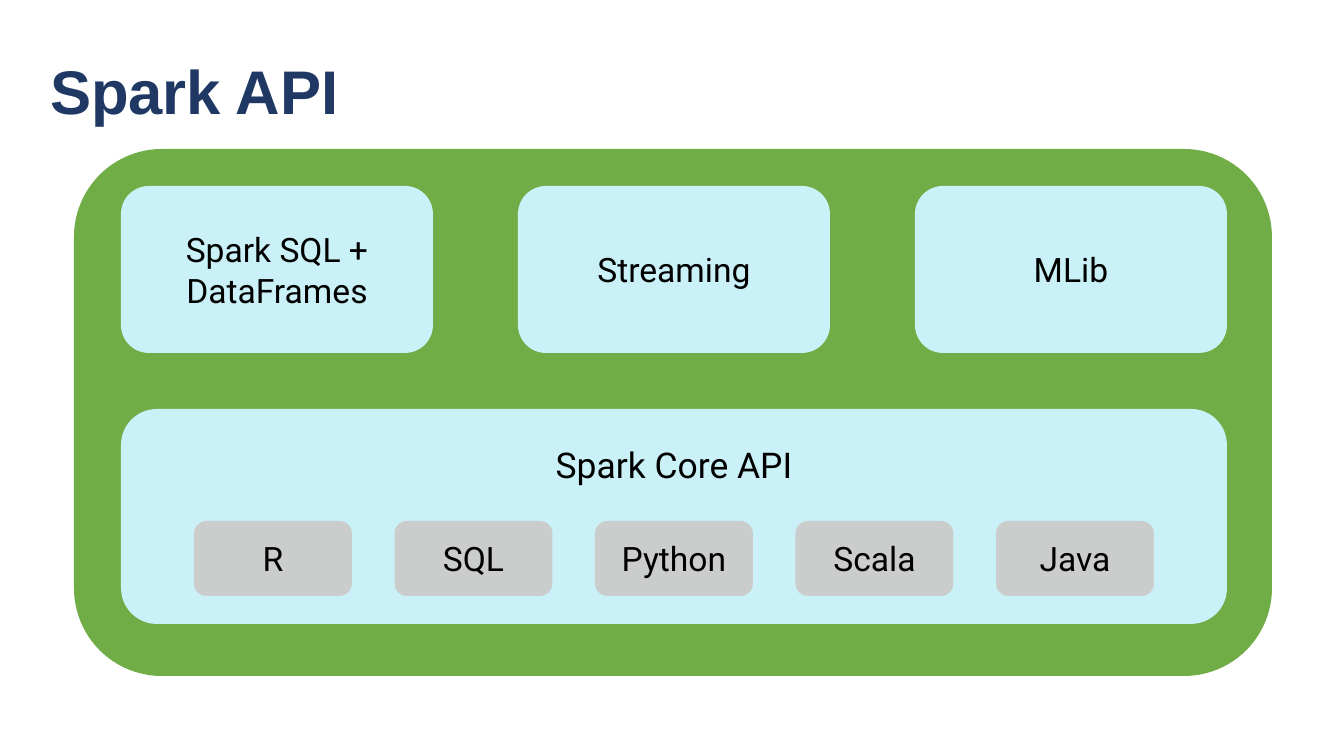
from pptx import Presentation
from pptx.dml.color import RGBColor
from pptx.enum.shapes import MSO_SHAPE
from pptx.enum.text import MSO_ANCHOR, MSO_AUTO_SIZE, PP_ALIGN
from pptx.util import Pt

ROUND = MSO_SHAPE.ROUNDED_RECTANGLE
MIDDLE = MSO_ANCHOR.MIDDLE
FIXED = MSO_AUTO_SIZE.NONE
LEFT, CENTER = PP_ALIGN.LEFT, PP_ALIGN.CENTER

WIDE, HIGH = 1344, 756
SCALE = 12192000 / WIDE
NAVY, GREEN, SKY, GREY, BLACK = "203864", "70AD47", "C9F1F7", "CBCCCC", "000000"
TOOLS = ["Spark SQL + DataFrames", "Streaming", "MLib"]
LANGS = ["R", "SQL", "Python", "Scala", "Java"]


def px(num):
    return round(num * SCALE)


def color(code):
    return RGBColor.from_string(code)


def apply(item, values):
    for name, value in values.items():
        setattr(item, name, value)


def place(box):
    return [px(num) for num in box]


def write(shape, text, size, font="Roboto", ink=BLACK, bold=False,
          align=CENTER, pad=(13, 13), space=None):
    frame = shape.text_frame
    side, edge = map(px, pad)
    apply(frame, {"text": text, "word_wrap": True, "auto_size": FIXED,
                  "vertical_anchor": MIDDLE,
                  "margin_left": side, "margin_right": side,
                  "margin_top": edge, "margin_bottom": edge})
    para = frame.paragraphs[0]
    apply(para, {"alignment": align, "line_spacing": space})
    style = para.runs[0].font
    apply(style, {"name": font, "size": Pt(size), "bold": bold})
    style.color.rgb = color(ink)


def card(slide, box, fill, text=""):
    shape = slide.shapes.add_shape(ROUND, *place(box))
    shape.shadow.inherit = False
    shape.fill.solid()
    shape.fill.fore_color.rgb = color(fill)
    shape.line.fill.background()
    if text:
        write(shape, text, 24)


def row(slide, box, names, wide, fill):
    left, top, width, height = box
    step = (width - wide) / (len(names) - 1)
    for spot, name in enumerate(names):
        card(slide, (left + spot * step, top, wide, height), fill, name)


def head(slide, box):
    title = slide.shapes.title
    apply(title, dict(zip(("left", "top", "width", "height"), place(box))))
    write(title, "Spark API", 44, font="Arial", ink=NAVY, bold=True,
          align=LEFT, pad=(0, 5), space=0.9)


def core(slide, box):
    left, top, width, height = box
    card(slide, box, SKY)
    row(slide, (left + 73, top + 112, width - 146, 75), LANGS, 158, GREY)
    label = slide.shapes.add_textbox(
        *place((left + 273, top + 18, width - 546, 75)))
    write(label, "Spark Core API", 25.3)


def stack(slide, box):
    left, top, width, height = box
    card(slide, box, GREEN)
    row(slide, (left + 47, top + 37, width - 92, 167), TOOLS, 312, SKY)
    core(slide, (left + 47, top + 260, width - 92, 215))


def main():
    deck = Presentation()
    apply(deck, {"slide_width": px(WIDE), "slide_height": px(HIGH)})
    slide = deck.slides.add_slide(deck.slide_layouts[5])
    head(slide, (50, 40, 1241, 109))
    stack(slide, (74, 149, 1198, 527))
    deck.save("out.pptx")


if __name__ == "__main__":
    main()
